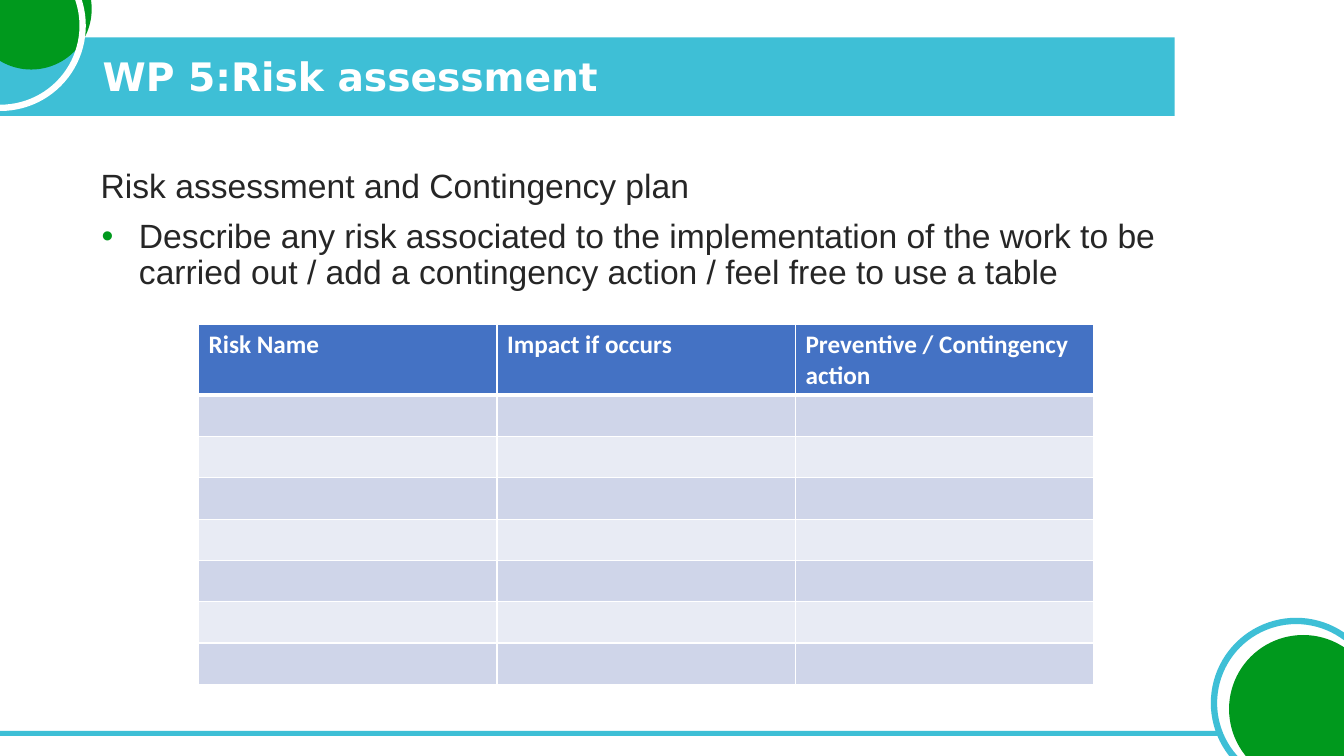
"""Build the risk assessment slide."""
from dataclasses import dataclass

from lxml.etree import SubElement as Sub
from pptx import Presentation
from pptx.dml.color import RGBColor as Rgb
from pptx.enum.shapes import MSO_SHAPE as Kind
from pptx.enum.text import MSO_ANCHOR as Anchor
from pptx.oxml.ns import qn
from pptx.util import Pt

UNIT = 9144


@dataclass(frozen=True)
class Theme:
    """Hold the colours, fonts and type sizes."""
    teal: str = "3EBFD6"
    green: str = "00991D"
    white: str = "FFFFFF"
    ink: str = "262626"
    head: str = "4472C4"
    bands: tuple = ("CFD5E9", "E8EBF4")
    title: tuple = ("DejaVu Sans", 28, True)
    body: tuple = ("Arial", 24, False)
    cell: tuple = ("Calibri", 18, True)
    ring: float = 4.5
    thin: float = 0.96
    thick: float = 3


LOOK = Theme()


def px(*sizes):
    """Turn pixel lengths into EMU."""
    return [size * UNIT for size in sizes]


def paint(fill, tint):
    """Set a solid fill."""
    fill.solid()
    fill.fore_color.rgb = Rgb.from_string(tint)


def shape(slide, kind, box, fill=None, line=None, turn=0):
    """Add a plain filled or outlined shape."""
    item = slide.shapes.add_shape(kind, *px(*box))
    item.shadow.inherit = False
    item.rotation = turn
    if fill:
        paint(item.fill, fill)
    else:
        item.fill.background()
    if line:
        paint(item.line.fill, line)
        item.line.width = Pt(LOOK.ring)
    else:
        item.line.fill.background()


def write(para, words, style, tint):
    """Add one styled run to a paragraph."""
    run = para.add_run()
    run.text = words
    font = run.font
    font.name, size, font.bold = style
    font.size = Pt(size)
    font.color.rgb = Rgb.from_string(tint)


def frame(slide, box, anchor=Anchor.TOP):
    """Add a wrapping text box and return its frame."""
    text = slide.shapes.add_textbox(*px(*box)).text_frame
    text.word_wrap = True
    text.vertical_anchor = anchor
    return text


def bullet(para):
    """Give a paragraph a green bullet and hanging indent."""
    props = para._p.get_or_add_pPr()
    left, hang = px(38, -37)
    props.set("marL", str(left))
    props.set("indent", str(hang))
    Sub(Sub(props, qn("a:buClr")), qn("a:srgbClr"), val=LOOK.green)
    Sub(props, qn("a:buFont"), typeface="Arial")
    Sub(props, qn("a:buChar"), char="•")


def decor(slide, box):
    """Draw the bars and corner circles."""
    left, top, wide, high = box
    right, base = left + wide, top + high
    shape(slide, Kind.RECTANGLE, (left, top + 37, 1165, 78), LOOK.teal)
    shape(slide, Kind.RECTANGLE, (left, base - 25, 1212, 5), LOOK.teal)
    discs = (
        (right - 129, base - 134, 163, None, LOOK.teal, 7.5),
        (right - 114, base - 120, 147, LOOK.green, None, 7.5),
        (left - 29, top - 51, 120, LOOK.green, None, 7.5),
        (left - 81, top - 56, 163, None, LOOK.white, 0),
    )
    for x, y, size, fill, line, turn in discs:
        shape(slide, Kind.OVAL, (x, y, size, size), fill, line, turn)


def title(slide, box, words):
    """Write the slide title."""
    para = frame(slide, box, Anchor.MIDDLE).paragraphs[0]
    para.line_spacing = 0.9
    write(para, words, LOOK.title, LOOK.white)


def body(slide, box, lead, point):
    """Write the lead line and its bullet point."""
    text = frame(slide, box)
    first, second = text.paragraphs[0], text.add_paragraph()
    for para, words in ((first, lead), (second, point)):
        para.line_spacing = 0.9
        para.space_before = Pt(10)
        write(para, words, LOOK.body, LOOK.ink)
    bullet(second)


def edge(cell, base):
    """Draw white borders around a cell."""
    props = cell._tc.get_or_add_tcPr()
    for side in "LRTB":
        width = base if side == "B" else LOOK.thin
        line = Sub(props, qn(f"a:ln{side}"), w=str(int(Pt(width))))
        Sub(Sub(line, qn("a:solidFill")), qn("a:srgbClr"), val=LOOK.white)


def grid(slide, box, heads, count):
    """Draw the risk table with a header and empty banded rows."""
    left, top, wide, high = box
    table = slide.shapes.add_table(
        count + 1, len(heads), *px(left, top, wide, high)).table
    row_high = 41
    for r, row in enumerate(table.rows):
        row.height = px(row_high if r else high - count * row_high)[0]
        tint = LOOK.bands[(r - 1) % 2] if r else LOOK.head
        for cell, words in zip(row.cells, heads):
            edge(cell, LOOK.thin if r else LOOK.thick)
            paint(cell.fill, tint)
            if not r:
                write(cell.text_frame.paragraphs[0], words,
                      LOOK.cell, LOOK.white)


def main():
    """Compose and save the slide."""
    deck = Presentation()
    wide, high = 1333, 750
    deck.slide_width, deck.slide_height = px(wide, high)
    slide = deck.slides.add_slide(deck.slide_layouts[6])
    decor(slide, (0, 0, wide, high))
    body(slide, (90, 163, 1129, 476),
         "Risk assessment and Contingency plan",
         "Describe any risk associated to the implementation of the work "
         "to be carried out / add a contingency action / feel free to use "
         "a table")
    title(slide, (92, 50, 1058, 56), "WP 5:Risk assessment")
    grid(slide, (197, 322, 888, 347),
         ("Risk Name", "Impact if occurs", "Preventive / Contingency action"),
         7)
    deck.save("out.pptx")


if __name__ == "__main__":
    main()
